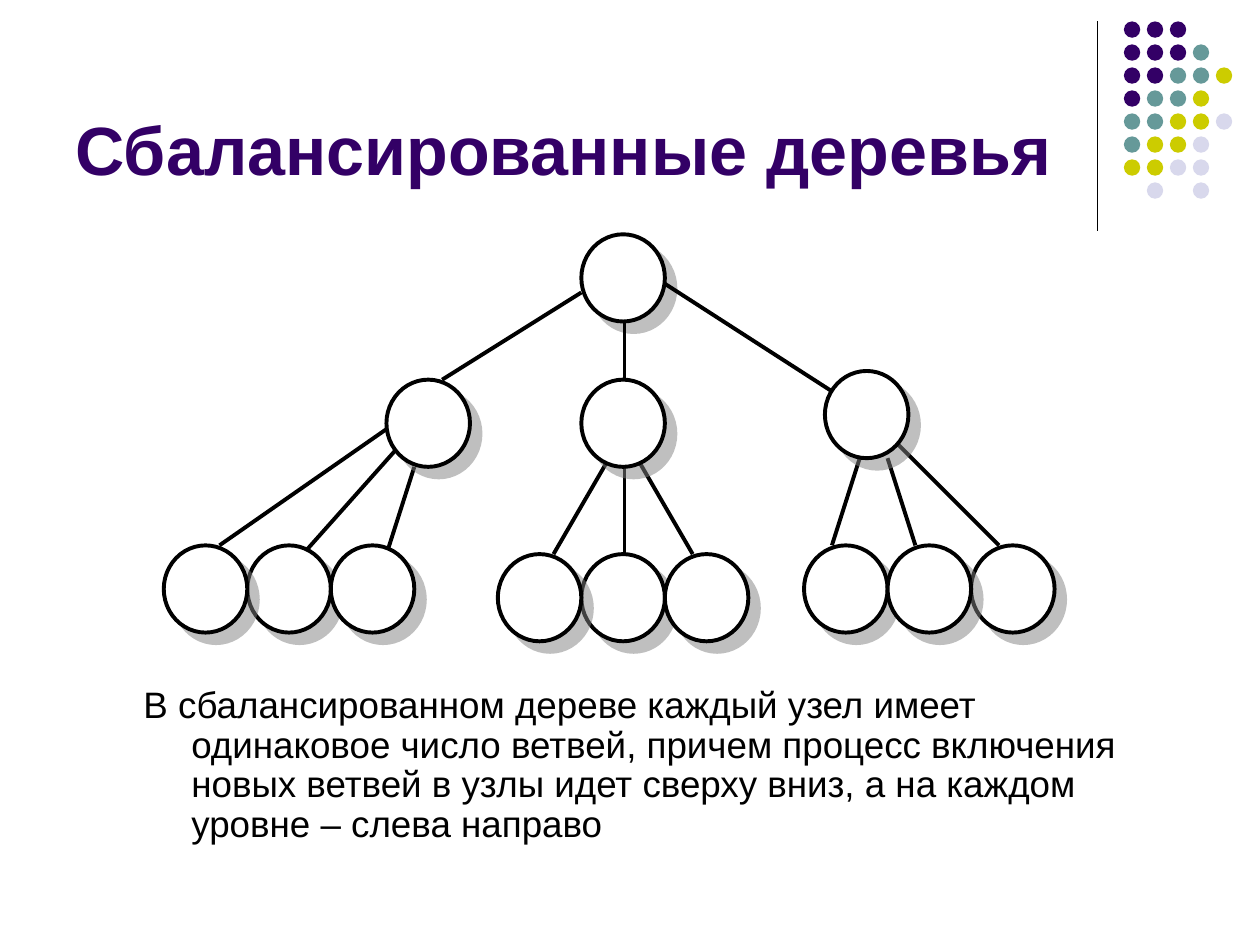
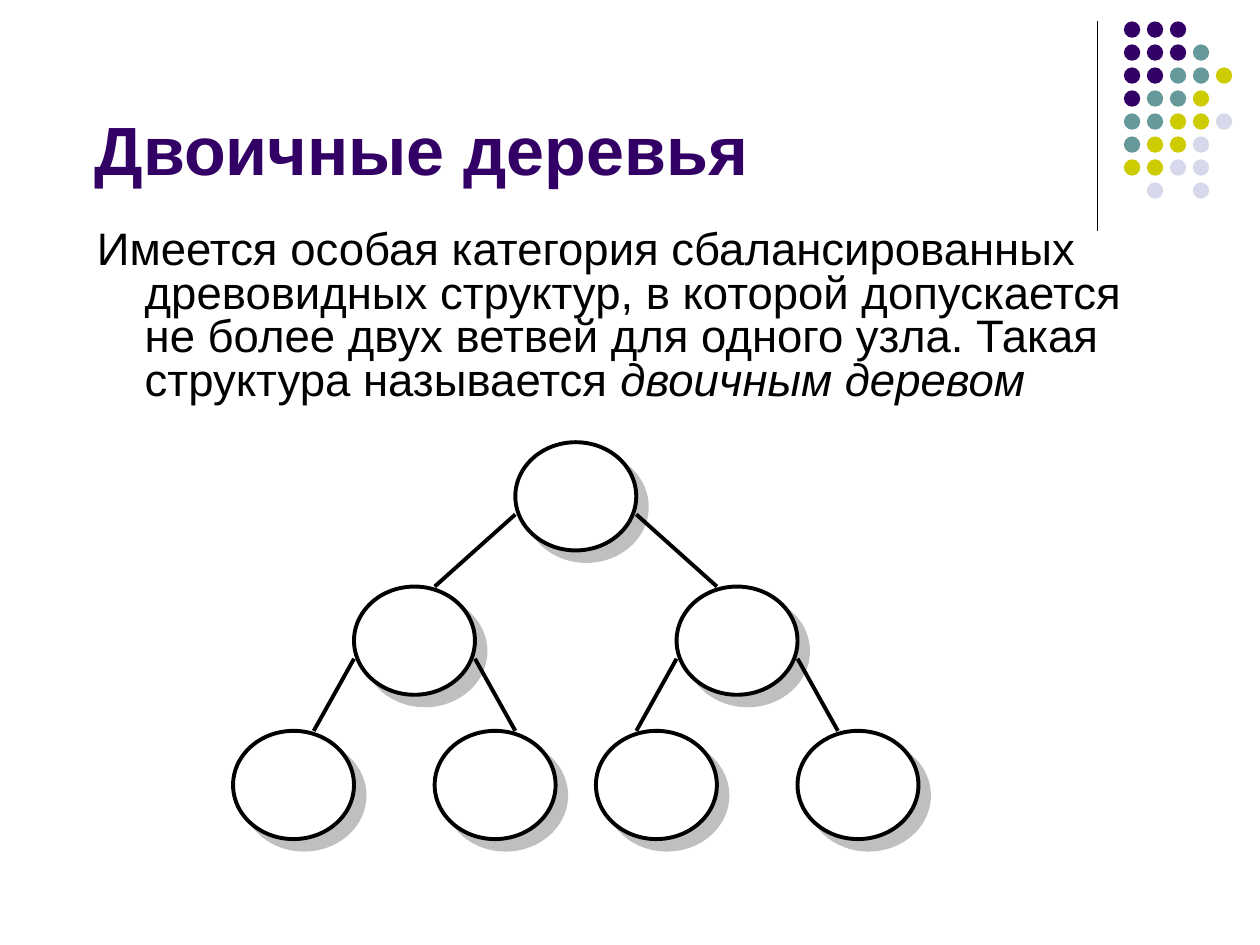
from lxml.etree import SubElement
from pptx import Presentation
from pptx.dml.color import RGBColor
from pptx.enum.shapes import MSO_CONNECTOR, MSO_SHAPE
from pptx.enum.text import MSO_ANCHOR, MSO_AUTO_SIZE, PP_ALIGN
from pptx.oxml.ns import qn
from pptx.util import Inches, Pt

BLACK = RGBColor(0x00, 0x00, 0x00)
WHITE = RGBColor(0xFF, 0xFF, 0xFF)
PURPLE = RGBColor(0x33, 0x00, 0x66)
TEAL = RGBColor(0x66, 0x99, 0x99)
LIME = RGBColor(0xCC, 0xCC, 0x00)
PALE = RGBColor(0xD8, 0xD8, 0xEC)
FONT = "Arial"

DOTS = ["PPP", "PPPT", "PPTTL", "PTTL", "TTLLW", "TLLW", "LLWW", " W W"]
HUES = {"P": PURPLE, "T": TEAL, "L": LIME, "W": PALE}
DOT, PITCH = 0.13, 0.73 / 4

TITLE = (0.5, 0.13, 8.25, 1.42)
SPAN = 3  # columns and rows that one node covers

# Nodes are (column, row) of the grid; links are (column, row, column, row).
SLIDES = [
    {
        "title": "Сбалансированные деревья",
        "inset": 0.1,
        "text": [("В сбалансированном дереве каждый узел имеет одинаковое "
                  "число ветвей, причем процесс включения новых ветвей в узлы "
                  "идет сверху вниз, а на каждом уровне – слева направо", False)],
        "box": (1.04, 5.4, 8.38, 1.42),
        "size": 21,
        "pitch": 0.9,
        "area": (1.3, 1.86, 7.07, 3.23),
        "grid": (32, 14),
        "under": [(9, 6.7, 5, 11), (9, 8, 8, 11), (16, 7.7, 14, 11),
                  (16.55, 8, 16.55, 11), (17, 7.7, 19, 11), (25, 7.7, 24, 10.7),
                  (26, 7.7, 27, 10.7), (26.35, 7.2, 30, 10.7), (8, 6.7, 2, 10.7)],
        "nodes": [(15, 0), (8, 5), (15, 5), (23.75, 4.7), (3, 10.7), (6, 10.7),
                  (15, 11), (12, 11), (18, 11), (23, 10.7), (0, 10.7),
                  (29, 10.7), (26, 10.7)],
        "over": [(15, 2, 10, 5), (16.55, 3, 16.55, 5), (18, 1.7, 24, 5.4)],
    },
    {
        "title": "Двоичные деревья",
        "inset": 0.25,
        "text": [("Имеется особая категория сбалансированных древовидных "
                  "структур, в которой допускается не более двух ветвей для "
                  "одного узла. Такая структура называется ", False),
                 ("двоичным деревом", True)],
        "box": (0.67, 1.78, 8.75, 1.51),
        "size": 26,
        "pitch": 0.8,
        "area": (1.85, 3.51, 5.44, 3.15),
        "grid": (17, 11),
        "under": [],
        "nodes": [(7, 0), (3, 4), (11, 4), (0, 8), (5, 8), (9, 8), (14, 8)],
        "over": [(7, 2, 5, 4), (10, 2, 12, 4), (3, 6, 2, 8),
                 (6, 6, 7, 8), (11, 6, 10, 8), (14, 6, 15, 8)],
    },
]


def place(shape, box):
    shape.left, shape.top, shape.width, shape.height = map(Inches, box)


def write(shape, runs, size, color=BLACK, bold=False, anchor=MSO_ANCHOR.TOP,
          inset=0.1, hang=0, pitch=None):
    """Fill a shape with one paragraph of (text, italic) runs."""
    frame = shape.text_frame
    frame.word_wrap = True
    frame.auto_size = MSO_AUTO_SIZE.NONE
    frame.vertical_anchor = anchor
    frame.margin_left = Inches(inset)
    frame.margin_right = Inches(0.1)
    frame.margin_top = frame.margin_bottom = Inches(0.05)
    para = frame.paragraphs[0]
    para.alignment = PP_ALIGN.LEFT
    para.line_spacing = pitch
    if hang:
        props = para._p.get_or_add_pPr()
        props.set("marL", str(Inches(hang)))
        props.set("indent", str(-Inches(hang)))
    for text, slant in runs:
        run = para.add_run()
        run.text = text
        font = run.font
        font.name, font.size, font.bold = FONT, Pt(size), bold
        font.italic = slant
        font.color.rgb = color


def line(slide, ends, width):
    link = slide.shapes.add_connector(MSO_CONNECTOR.STRAIGHT, *map(Inches, ends))
    link.line.color.rgb = BLACK
    link.line.width = Pt(width)
    SubElement(link.element.spPr, qn("a:effectLst"))
    return link


def disc(slide, box, color):
    oval = slide.shapes.add_shape(MSO_SHAPE.OVAL, *map(Inches, box))
    oval.shadow.inherit = False
    oval.fill.solid()
    oval.fill.fore_color.rgb = color
    oval.line.fill.background()
    return oval


def node(slide, box):
    """Draw a white outlined disc with a soft grey shadow."""
    oval = disc(slide, box, WHITE)
    oval.line.color.rgb = BLACK
    oval.line.width = Pt(2.25)
    effects = oval.element.spPr.find(qn("a:effectLst"))
    shade = SubElement(effects, qn("a:outerShdw"), dist=str(Pt(8.5)),
                       dir=str(45 * 60000), algn="ctr", rotWithShape="0")
    tint = SubElement(shade, qn("a:srgbClr"), val="808080")
    SubElement(tint, qn("a:alpha"), val="50000")


def decorate(slide):
    """Draw the rule and dots, then move them to the shared layout."""
    parts = [line(slide, (8.71, 0.17, 8.71, 1.83), 0.75)]
    for row, marks in enumerate(DOTS):
        for col, mark in enumerate(marks):
            if mark in HUES:
                box = (8.92 + col * PITCH, 0.17 + row * PITCH, DOT, DOT)
                parts.append(disc(slide, box, HUES[mark]))
    tree = slide.slide_layout.shapes.element
    for part in parts:
        tree.append(part.element)


def draw(slide, data):
    """Draw the tree on its grid."""
    left, top, width, height = data["area"]
    cols, rows = data["grid"]
    dx, dy = width / cols, height / rows

    def join(links):
        for a, b, c, d in links:
            line(slide, (left + a * dx, top + b * dy,
                         left + c * dx, top + d * dy), 2.25)

    join(data["under"])
    for col, row in data["nodes"]:
        node(slide, (left + col * dx, top + row * dy, SPAN * dx, SPAN * dy))
    join(data["over"])


def main():
    deck = Presentation()
    deck.slide_width, deck.slide_height = Inches(10), Inches(7.5)
    layout = deck.slide_layouts[5]
    place(layout.placeholders[0], TITLE)
    for index, data in enumerate(SLIDES):
        slide = deck.slides.add_slide(layout)
        if index == 0:
            decorate(slide)
        title = slide.shapes.title
        place(title, TITLE)
        write(title, [(data["title"], False)], 39, color=PURPLE, bold=True,
              anchor=MSO_ANCHOR.BOTTOM, inset=data["inset"])
        body = slide.shapes.add_textbox(*map(Inches, data["box"]))
        write(body, data["text"], data["size"], hang=0.38, pitch=data["pitch"])
        draw(slide, data)
    deck.save("out.pptx")


if __name__ == "__main__":
    main()
